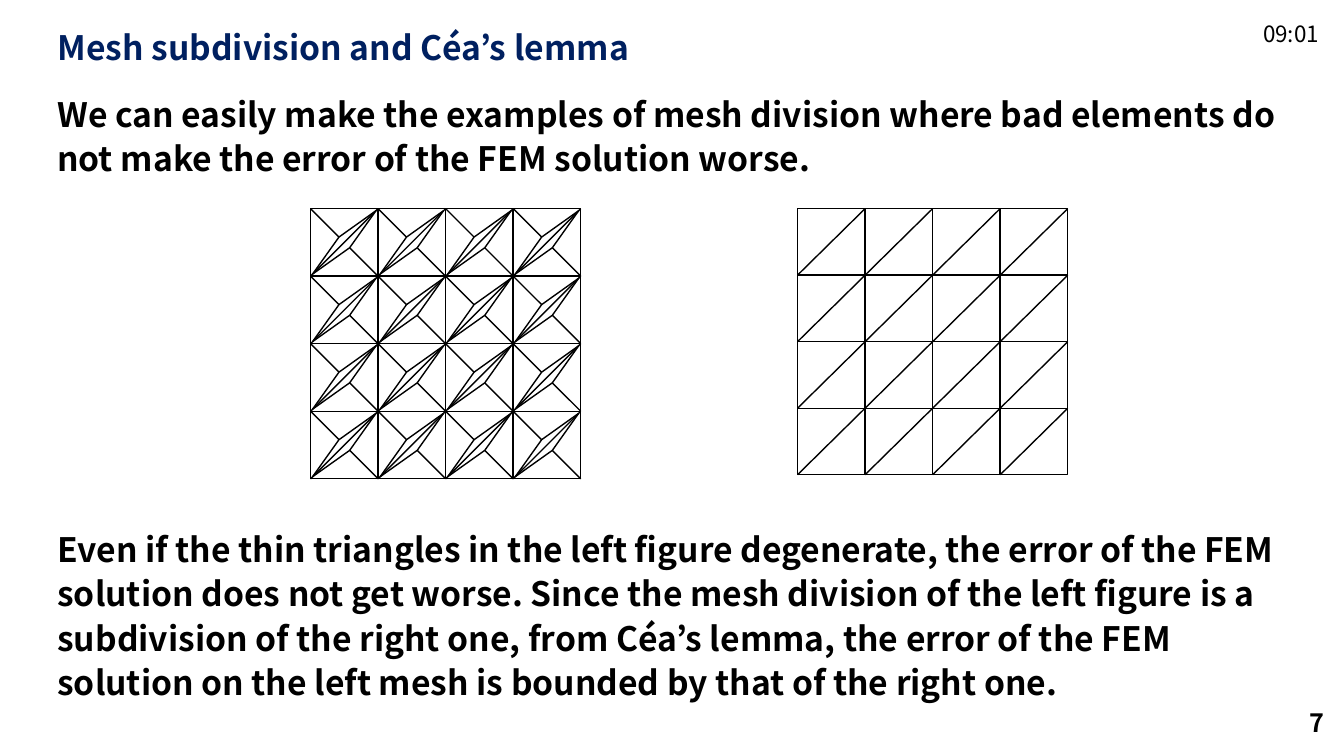
from pptx import Presentation
from pptx import util as u
from pptx.dml.color import RGBColor
from pptx.enum import shapes, text
from pptx.oxml import ns
from lxml import etree

NAVY = RGBColor(0x00, 0x20, 0x60)
BLACK = RGBColor(0x00, 0x00, 0x00)
FONT = "Noto Sans CJK JP"
CELL, COUNT = 0.67, 4
TOP = 2.07
LEFT, RIGHT = 3.08, 7.91
TIP = 0.42  # share of a cell from its corner to the diamond

deck = Presentation()
deck.slide_width, deck.slide_height = u.Inches(13.33), u.Inches(7.5)
slide = deck.slides.add_slide(deck.slide_layouts[5])


def write(box, place, words, size, color=BLACK, bold=True,
          align=text.PP_ALIGN.LEFT, pitch=1.0, anchor=text.MSO_ANCHOR.MIDDLE):
    """Place a text shape and fill it with one formatted paragraph."""
    box.left, box.top, box.width, box.height = map(u.Inches, place)
    frame = box.text_frame
    frame.word_wrap = True
    frame.auto_size = text.MSO_AUTO_SIZE.NONE
    frame.vertical_anchor = anchor
    para = frame.paragraphs[0]
    para.text = words
    para.alignment, para.line_spacing = align, pitch
    font = para.font
    font.name, font.size, font.bold = FONT, u.Pt(size), bold
    font.color.rgb = color


def draw(group, x, rise, start, end):
    """Draw a line between two (column, row) points of the mesh at x."""
    ends = [u.Inches(base + size * step) for point in (start, end)
            for base, size, step in zip((x, TOP), (CELL, rise), point)]
    line = group.shapes.add_connector(shapes.MSO_CONNECTOR.STRAIGHT, *ends)
    line.line.color.rgb, line.line.width = BLACK, u.Pt(1)
    etree.SubElement(line._element.spPr, ns.qn("a:effectLst"))
    return line


write(slide.shapes.title, (0.47, 0.24, 12.32, 0.51),
      "Mesh subdivision and Céa’s lemma", 24, NAVY, pitch=0.9)

for top, height, words in (
    (0.84, 1.0, "We can easily make the examples of mesh division where bad "
     "elements do not make the error of the FEM solution worse."),
    (5.16, 1.9, "Even if the thin triangles in the left figure degenerate, "
     "the error of the FEM solution does not get worse. Since the mesh "
     "division of the left figure is a subdivision of the right one, from "
     "Céa’s lemma, the error of the FEM solution on the left mesh is bounded "
     "by that of the right one."),
):
    box = slide.shapes.add_textbox(0, 0, 0, 0)
    write(box, (0.47, top, 12.32, height), words, 24, pitch=1.1,
          anchor=text.MSO_ANCHOR.TOP)

for x, rise in ((RIGHT, 0.66), (LEFT, CELL)):
    mesh = slide.shapes.add_group_shape()
    place = x, TOP, CELL * COUNT, rise * COUNT
    frame = mesh.shapes.add_shape(
        shapes.MSO_SHAPE.RECTANGLE, *map(u.Inches, place))
    outlines = [frame]

    for k in range(1, 2 * COUNT):
        low, high = max(0, k - COUNT), min(k, COUNT)
        draw(mesh, x, rise, (low, high), (high, low))

    for k in range(1, COUNT):
        across = draw(mesh, x, rise, (0, k), (COUNT, k))
        down = draw(mesh, x, rise, (k, 0), (k, COUNT))
        if 2 * k == COUNT:
            across.begin_connect(frame, 1)
            across.end_connect(frame, 3)
            down.begin_connect(frame, 0)
            down.end_connect(frame, 2)

    if x == LEFT:
        wide, thin = 0.89, 0.15
        for n in range(COUNT ** 2):
            row, col = divmod(n, COUNT)
            kite = mesh.shapes.add_shape(
                shapes.MSO_SHAPE.DIAMOND,
                u.Inches(x + CELL * (col + 0.5) - wide / 2),
                u.Inches(TOP + rise * (row + 0.5) - thin / 2),
                u.Inches(wide), u.Inches(thin))
            kite.rotation = 315
            outlines.append(kite)
            for a, b in ((0, TIP), (1 - TIP, 1)):
                draw(mesh, x, rise, (col + a, row + a), (col + b, row + b))

    for shape in outlines:
        shape.shadow.inherit = False
        shape.fill.background()
        shape.line.color.rgb, shape.line.width = BLACK, u.Pt(1)

clock = slide.shapes.add_textbox(0, 0, 0, 0)
write(clock, (12.43, 0.13, 0.8, 0.4), "09:01", 16, bold=False)
clock.text_frame.word_wrap = False
page = slide.shapes.add_textbox(0, 0, 0, 0)
write(page, (10.23, 6.97, 3, 0.4), "7", 18, align=text.PP_ALIGN.RIGHT)

deck.save("out.pptx")
